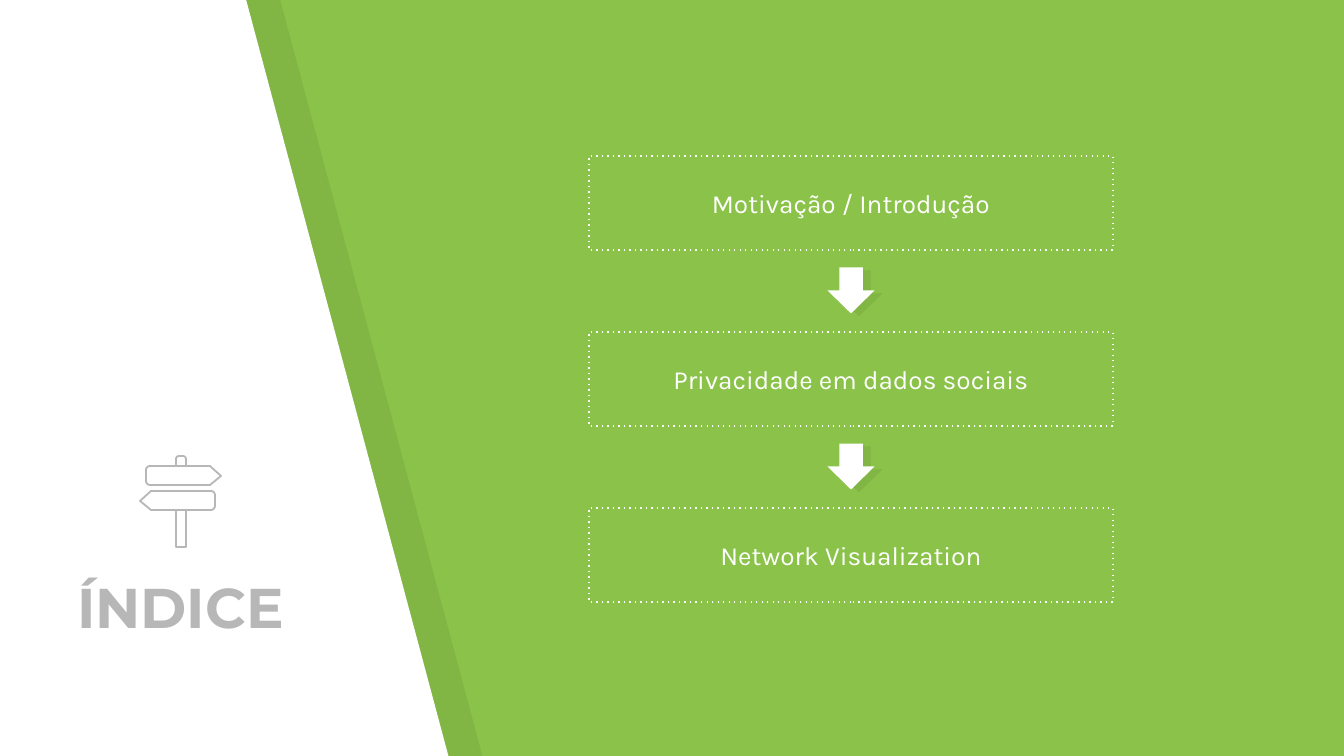
import math

import pptx
import pptx.dml.color
import pptx.enum.dml
import pptx.enum.shapes
import pptx.enum.text
import pptx.oxml
import pptx.oxml.ns
import pptx.util

SCALE = 9144000 / 1344
GREEN, WHITE, GREY, BLACK = "8BC34A", "FFFFFF", "B7B7B7", "000000"
SHADE = 7
TITLE = {"name": "Montserrat", "size": pptx.util.Pt(30), "bold": True}
STEP = {"name": "Karla", "size": pptx.util.Pt(14), "bold": False}
STEPS = ["Motivação / Introdução", "Privacidade em dados sociais", "Network Visualization"]


def px(n):
    """Turn px into EMU."""
    return pptx.util.Emu(round(n * SCALE))


def color(value):
    """Turn a hex string into a colour."""
    return pptx.dml.color.RGBColor.from_string(value)


def paint(sp, fill=None, line=None, width=0.75, alpha=None):
    """Set fill, line and transparency of a shape, without shadow."""
    sp.shadow.inherit = False
    if fill:
        sp.fill.solid()
        sp.fill.fore_color.rgb = color(fill)
    else:
        sp.fill.background()
    if line:
        sp.line.color.rgb = color(line)
        sp.line.width = pptx.util.Pt(width)
    else:
        sp.line.fill.background()
    if alpha:
        clr = sp._element.spPr.find(".//" + pptx.oxml.ns.qn("a:srgbClr"))
        node = pptx.oxml.parse_xml(f'<a:alpha {pptx.oxml.ns.nsdecls("a")} val="{alpha * 1000}"/>')
        clr.append(node)


def write(sp, text, font, hue, anchor):
    """Write one centred line into a shape."""
    tf = sp.text_frame
    frame = {"word_wrap": True, "vertical_anchor": anchor}
    frame.update({f"margin_{side}": pptx.util.Inches(0.1) for side in ("left", "top", "right", "bottom")})
    for key, value in frame.items():
        setattr(tf, key, value)
    p = tf.paragraphs[0]
    p.alignment = pptx.enum.text.PP_ALIGN.CENTER
    r = p.add_run()
    r.text = text
    for key, value in font.items():
        setattr(r.font, key, value)
    r.font.color.rgb = color(hue)


def polygon(shapes, x, y, points):
    """Draw a closed outline from points relative to x, y."""
    pts = [(px(x + a), px(y + b)) for a, b in points]
    builder = shapes.build_freeform(*pts[0])
    builder.add_line_segments(pts[1:], close=True)
    return builder.convert_to_shape()


def corner(cx, cy, radius, start):
    """Return the points of a quarter turn from the start angle."""
    angles = [math.radians(start + 22.5 * i) for i in range(5)]
    return [(cx + radius * math.cos(a), cy + radius * math.sin(a)) for a in angles]


def side_panel(s, x, y, w, h):
    """Draw the slanted white panel and its shade."""
    outline = [(0, 0), (0, h), (w, h), (w - 203, 0)]
    paint(polygon(s.shapes, x + 34, y, outline), BLACK, alpha=SHADE)
    paint(polygon(s.shapes, x, y, outline), WHITE)


def title(s, x, y, w, h):
    """Place the slide title."""
    sp = s.shapes.add_textbox(px(x), px(y), px(w), px(h))
    write(sp, "ÍNDICE", TITLE, GREY, pptx.enum.text.MSO_ANCHOR.TOP)


def arrow(s, x, y, w, h):
    """Draw a downward arrow with its offset shade."""
    group = s.shapes.add_group_shape()
    for dx, dy, fill, alpha in ((8, 3, BLACK, SHADE), (0, 0, WHITE, None)):
        sp = group.shapes.add_shape(
            pptx.enum.shapes.MSO_SHAPE.RIGHT_ARROW, px(x + dx), px(y + dy), px(w), px(h))
        sp.rotation = 90
        paint(sp, fill, alpha=alpha)


def steps(s, x, y, w, h, pitch):
    """Stack the step boxes with an arrow in each gap."""
    for i, text in enumerate(STEPS):
        top = y + i * pitch
        sp = s.shapes.add_shape(pptx.enum.shapes.MSO_SHAPE.RECTANGLE, px(x), px(top), px(w), px(h))
        paint(sp, line=WHITE)
        sp.line.dash_style = pptx.enum.dml.MSO_LINE.ROUND_DOT
        sp._element.spPr.find(".//" + pptx.oxml.ns.qn("a:prstDash")).set("val", "dot")
        write(sp, text, STEP, WHITE, pptx.enum.text.MSO_ANCHOR.MIDDLE)
        if i < len(STEPS) - 1:
            arrow(s, x + w // 2 - 23, top + h + 17, 46, 47)


def signpost(s, x, y, w, h):
    """Draw the signpost icon."""
    group = s.shapes.add_group_shape()
    right = [(w - 11, 10), *reversed(corner(10, 14, 4, 180)),
             *reversed(corner(10, 25, 4, 90)), (w - 11, 29), (w, 20)]
    left = [(w - a, b + 25) for a, b in right]
    cap = [(36, 10), *corner(39, 3, 3, 180), *corner(43, 3, 3, 270), (46, 10)]
    post = [(36, 54), (36, h), (46, h), (46, 54)]
    for outline in (right, left, cap, post):
        paint(polygon(group.shapes, x, y, outline), line=GREY, width=0.96)


def main():
    """Build the slide and save it."""
    prs = pptx.Presentation()
    prs.slide_width, prs.slide_height = px(1344), px(756)
    s = prs.slides.add_slide(prs.slide_layouts[6])
    s.background.fill.solid()
    s.background.fill.fore_color.rgb = color(GREEN)
    side_panel(s, -3, -1, 452, 759)
    title(s, 52, 559, 257, 79)
    steps(s, 589, 156, 524, 94, 176)
    signpost(s, 140, 456, 81, 91)
    prs.save("out.pptx")


if __name__ == "__main__":
    main()
